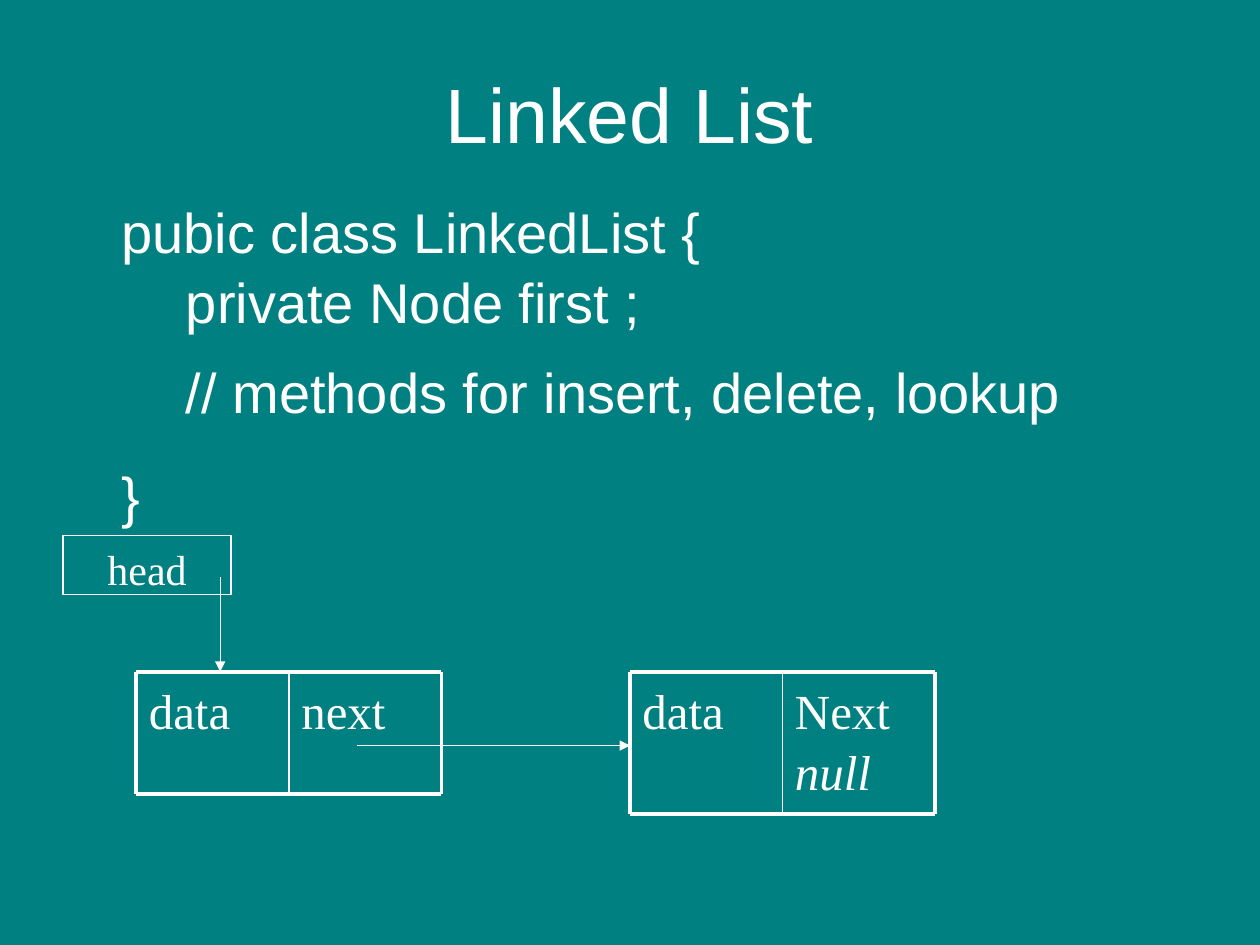
from lxml import etree
from pptx import Presentation
from pptx.dml.color import RGBColor
from pptx.enum import shapes, text
from pptx.oxml.ns import qn
from pptx.util import Cm, Pt

WHITE = "FFFFFF"
TEAL = "008080"
SANS = "Arial"
SERIF = "Times New Roman"
LINE_SPACING = 1.04


def color(hex_string):
    return RGBColor.from_string(hex_string)


def style_paragraph(paragraph, content, size, font, italic=None):
    paragraph.text = content
    paragraph.line_spacing = LINE_SPACING
    paragraph.font.size = Pt(size)
    paragraph.font.name = font
    paragraph.font.italic = italic
    paragraph.font.color.rgb = color(WHITE)
    return paragraph


def add_text(parent, left, top, width, height):
    box = parent.add_textbox(Cm(left), Cm(top), Cm(width), Cm(height))
    box.text_frame.word_wrap = True
    return box.text_frame


def add_line(parent, start, end, weight, arrow=False):
    line = parent.add_connector(
        shapes.MSO_CONNECTOR.STRAIGHT, *(Cm(value) for value in start + end))
    line.line.color.rgb = color(WHITE)
    line.line.width = Pt(weight)
    if arrow:
        etree.SubElement(line.line._get_or_add_ln(), qn("a:tailEnd"), type="triangle")
    etree.SubElement(line._element.spPr, qn("a:effectLst"))


def add_title(slide, left, top, width, height):
    frame = add_text(slide.shapes, left, top, width, height)
    frame.vertical_anchor = text.MSO_ANCHOR.MIDDLE
    paragraph = style_paragraph(frame.paragraphs[0], "Linked List", 44, SANS)
    paragraph.alignment = text.PP_ALIGN.CENTER


def add_code(slide, left, top, width, height):
    frame = add_text(slide.shapes, left, top, width, height)
    # Content, left margin and hanging indent in cm, space before and after in pt
    lines = [
        ("pubic class LinkedList {", 1.19, -0.89, 0, 0),
        ("private Node first ;", 2.39, -0.79, 0, 11.3),
        ("// methods for insert, delete, lookup", 2.39, -0.79, 0, 11.3),
        ("}", 1.19, -0.89, 8, 0),
    ]
    for index, (content, margin, indent, before, after) in enumerate(lines):
        paragraph = frame.add_paragraph() if index else frame.paragraphs[0]
        style_paragraph(paragraph, content, 32, SANS)
        paragraph.space_before = Pt(before)
        paragraph.space_after = Pt(after)
        properties = paragraph._p.get_or_add_pPr()
        properties.set("marL", str(Cm(margin)))
        properties.set("indent", str(Cm(indent)))


def add_node(slide, left, top, width, height, cells):
    group = slide.shapes.add_group_shape().shapes
    cell_width = width / len(cells)
    right, bottom = left + width, top + height

    # Cell texts
    for column, cell in enumerate(cells):
        frame = add_text(group, left + column * cell_width, top, cell_width, height)
        for index, (content, italic) in enumerate(cell):
            paragraph = frame.add_paragraph() if index else frame.paragraphs[0]
            style_paragraph(paragraph, content, 28, SERIF, italic)

    # Thick frame with thin dividers
    for y in (top, bottom):
        add_line(group, (left, y), (right, y), 2.25)
    for column in range(len(cells) + 1):
        x = left + column * cell_width
        weight = 2.25 if column in (0, len(cells)) else 1
        add_line(group, (x, top), (x, bottom), weight)


def add_head(slide, left, top, width, height):
    head = slide.shapes.add_shape(
        shapes.MSO_SHAPE.RECTANGLE, Cm(left), Cm(top), Cm(width), Cm(height))
    head.shadow.inherit = False
    head.fill.background()
    head.line.color.rgb = color(WHITE)
    head.line.width = Pt(0.75)
    frame = head.text_frame
    frame.word_wrap = True
    frame.vertical_anchor = text.MSO_ANCHOR.TOP
    paragraph = style_paragraph(frame.paragraphs[0], "head", 24, SERIF)
    paragraph.alignment = text.PP_ALIGN.CENTER


def add_list_diagram(slide, left, top):
    node_top, node_width = top + 2.74, 6.15
    first, second = left + 1.48, left + 11.43

    # Nodes
    add_node(slide, first, node_top, node_width, 2.47,
             [[("data", None)], [("next", None)]])
    add_node(slide, second, node_top, node_width, 2.87,
             [[("data", None)], [("Next", None), ("null", True)]])

    # Head reference and links
    add_line(slide.shapes, (left + 3.17, top + 0.84), (left + 3.17, node_top), 0.75, True)
    add_head(slide, left, top, 3.39, 1.19)
    link_y = node_top + 1.49
    add_line(slide.shapes, (left + 5.93, link_y), (second, link_y), 0.75, True)


def main():
    presentation = Presentation()
    presentation.slide_width, presentation.slide_height = Cm(25.4), Cm(19.05)
    slide = presentation.slides.add_slide(presentation.slide_layouts[6])
    slide.background.fill.solid()
    slide.background.fill.fore_color.rgb = color(TEAL)

    add_title(slide, 1.9, 1.14, 21.59, 2.18)
    add_code(slide, 1.9, 3.81, 21.59, 6.96)
    add_list_diagram(slide, 1.27, 10.8)
    presentation.save("out.pptx")


if __name__ == "__main__":
    main()
